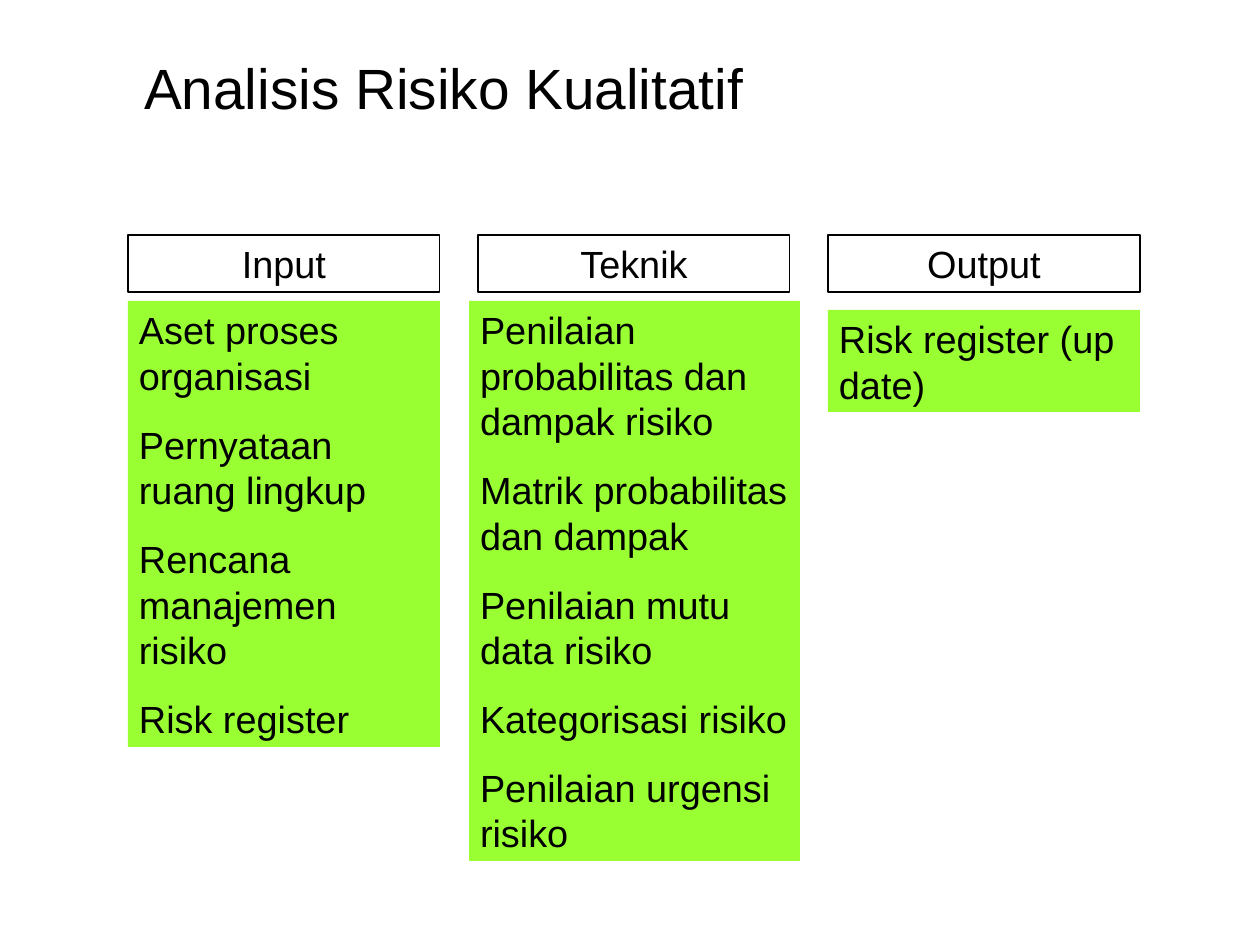
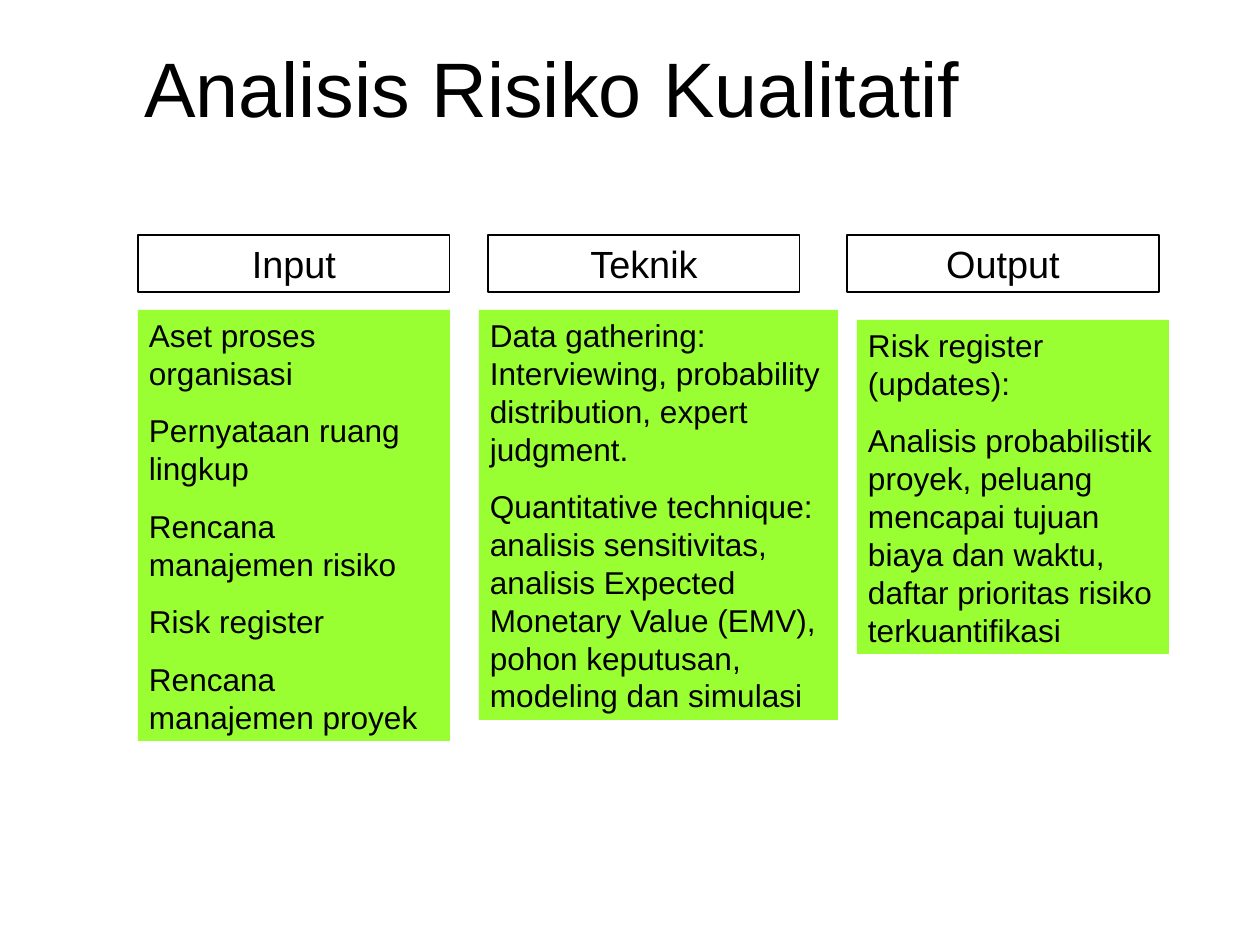
from pptx import Presentation
from pptx.dml.color import RGBColor
from pptx.enum.shapes import MSO_SHAPE
from pptx.enum.text import MSO_ANCHOR, PP_ALIGN
from pptx.util import Emu, Pt

RECTANGLE = MSO_SHAPE.RECTANGLE
TOP, MIDDLE = MSO_ANCHOR.TOP, MSO_ANCHOR.MIDDLE
LEFT, CENTER = PP_ALIGN.LEFT, PP_ALIGN.CENTER

EMU_PER_PX = 914400 / 113.5
FONT = "Arial"
BLACK = "000000"
GREEN = "99FF33"
TITLE = "Analisis Risiko Kualitatif"
TITLE_BOX = (132, 8, 1107, 157)
HEADER_TOP, HEADER_HEIGHT, COLUMN_WIDTH = 235, 57, 312
HEADER_SIZE = 24
SPACE_RATIO = 0.625  # paragraph gap relative to the text size

# Each slide: title size, body text size, columns.
# Each column: heading, heading left, body box (left, top, width, height), paragraphs.
SLIDES = [
    (36, 24, [
        ("Input", 128, (128, 301, COLUMN_WIDTH, 446), [
            "Aset proses organisasi",
            "Pernyataan ruang lingkup",
            "Rencana manajemen risiko",
            "Risk register",
        ]),
        ("Teknik", 478, (469, 301, 331, 560), [
            "Penilaian probabilitas dan dampak risiko",
            "Matrik probabilitas dan dampak",
            "Penilaian mutu data risiko",
            "Kategorisasi risiko",
            "Penilaian urgensi risiko",
        ]),
        ("Output", 828, (828, 310, COLUMN_WIDTH, 102), [
            "Risk register (up date)",
        ]),
    ]),
    (49, 20, [
        ("Input", 138, (138, 310, COLUMN_WIDTH, 431), [
            "Aset proses organisasi",
            "Pernyataan ruang lingkup",
            "Rencana manajemen risiko",
            "Risk register",
            "Rencana manajemen proyek",
        ]),
        ("Teknik", 488, (479, 310, 359, 410), [
            "Data gathering: Interviewing, probability distribution, expert judgment.",
            "Quantitative technique: analisis sensitivitas, analisis Expected "
            "Monetary Value (EMV), pohon keputusan, modeling dan simulasi",
        ]),
        ("Output", 847, (857, 320, COLUMN_WIDTH, 334), [
            "Risk register (updates):",
            "Analisis probabilistik proyek, peluang mencapai tujuan biaya dan waktu, "
            "daftar prioritas risiko terkuantifikasi",
        ]),
    ]),
]


def px(length):
    return Emu(round(length * EMU_PER_PX))


def add_text_rectangle(slide, box, paragraphs, size, fill=None, line=None,
                       alignment=LEFT, anchor=TOP, margins=(11, 6)):
    """Add a rectangle with one paragraph per string; margins are (side, top and bottom)."""
    shape = slide.shapes.add_shape(RECTANGLE, *map(px, box))
    shape.shadow.inherit = False
    if fill:
        shape.fill.solid()
        shape.fill.fore_color.rgb = RGBColor.from_string(fill)
    else:
        shape.fill.background()
    if line:
        shape.line.color.rgb = RGBColor.from_string(line)
        shape.line.width = Pt(0.75)
    else:
        shape.line.fill.background()

    text_frame = shape.text_frame
    text_frame.word_wrap = True
    text_frame.vertical_anchor = anchor
    text_frame.margin_left = text_frame.margin_right = px(margins[0])
    text_frame.margin_top = text_frame.margin_bottom = px(margins[1])
    text_frame.text = "\n".join(paragraphs)
    for index, paragraph in enumerate(text_frame.paragraphs):
        paragraph.alignment = alignment
        if index:
            paragraph.space_before = Pt(size * SPACE_RATIO)
        for run in paragraph.runs:
            run.font.name = FONT
            run.font.size = Pt(size)
            run.font.color.rgb = RGBColor.from_string(BLACK)


presentation = Presentation()
presentation.slide_width = px(1260)
presentation.slide_height = px(942)
blank_layout = presentation.slide_layouts[6]

for title_size, body_size, columns in SLIDES:
    slide = presentation.slides.add_slide(blank_layout)
    add_text_rectangle(slide, TITLE_BOX, [TITLE], title_size,
                       anchor=MIDDLE, margins=(12, 7))
    for heading, heading_left, body_box, paragraphs in columns:
        heading_box = (heading_left, HEADER_TOP, COLUMN_WIDTH, HEADER_HEIGHT)
        add_text_rectangle(slide, heading_box, [heading], HEADER_SIZE,
                           line=BLACK, alignment=CENTER)
        add_text_rectangle(slide, body_box, paragraphs, body_size, fill=GREEN)

presentation.save("out.pptx")
